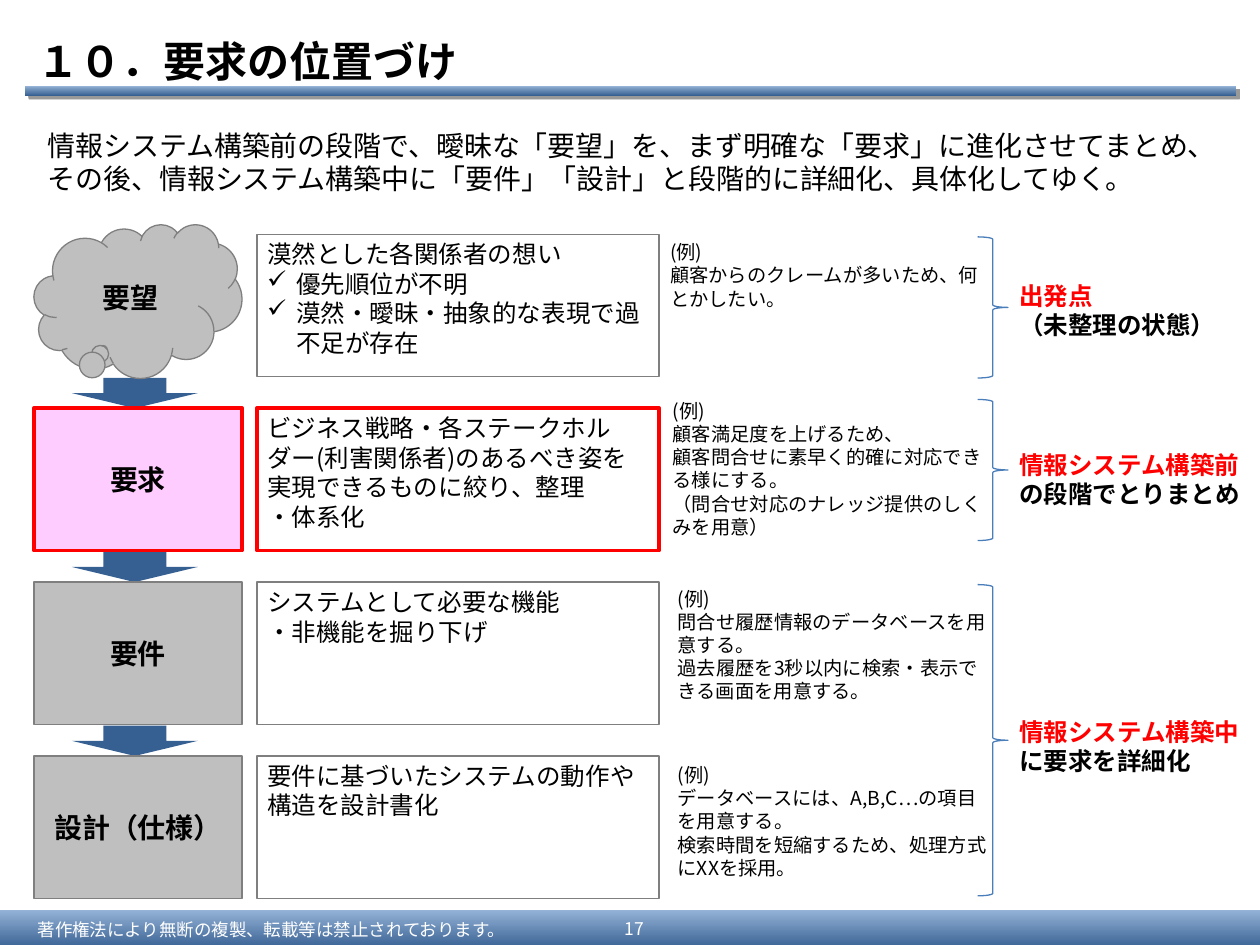
import pptx
import pptx.util
import pptx.dml.color
import pptx.enum.shapes
import pptx.enum.text
import pptx.oxml
import pptx.oxml.ns

Inches = pptx.util.Inches
Pt = pptx.util.Pt
RGBColor = pptx.dml.color.RGBColor
SHAPE = pptx.enum.shapes.MSO_SHAPE
ALIGN = pptx.enum.text.PP_ALIGN
ANCHOR = pptx.enum.text.MSO_ANCHOR

FONT = "Noto Sans CJK JP"
BLACK = RGBColor(0x00, 0x00, 0x00)
WHITE = RGBColor(0xFF, 0xFF, 0xFF)
RED = RGBColor(0xFF, 0x00, 0x00)
PINK = RGBColor(0xFF, 0xCC, 0xFF)
GRAY = RGBColor(0xBF, 0xBF, 0xBF)
EDGE = RGBColor(0x7F, 0x7F, 0x7F)
NAVY = RGBColor(0x37, 0x60, 0x92)
SKY = RGBColor(0x95, 0xB3, 0xD7)
BLUE = RGBColor(0x4A, 0x7E, 0xBB)

TOP, PITCH, TALL = 1.86, 1.38, 1.13
CHECK = "✓"

# One entry per stage: name, lines of the description
STAGES = [
    ("要望", ["漠然とした各関係者の想い", CHECK + "優先順位が不明",
            CHECK + "漠然・曖昧・抽象的な表現で過不足が存在"]),
    ("要求", ["ビジネス戦略・各ステークホルダー(利害関係者)のあるべき姿を実現できるものに絞り、整理",
            "・体系化"]),
    ("要件", ["システムとして必要な機能", "・非機能を掘り下げ"]),
    ("設計（仕様）", ["要件に基づいたシステムの動作や構造を設計書化"]),
]
# Left, top, height, lines of each example
NOTES = [
    (5.22, 1.86, 0.65, ["顧客からのクレームが多いため、何とかしたい。"]),
    (5.24, 3.12, 1.39, ["顧客満足度を上げるため、",
                        "顧客問合せに素早く的確に対応できる様にする。",
                        "（問合せ対応のナレッジ提供のしくみを用意）"]),
    (5.28, 4.61, 1.02, ["問合せ履歴情報のデータベースを用意する。",
                        "過去履歴を3秒以内に検索・表示できる画面を用意する。"]),
    (5.28, 6.01, 1.02, ["データベースには、A,B,C…の項目を用意する。",
                        "検索時間を短縮するため、処理方式にXXを採用。"]),
]
# Brace top and height, label top and width, paragraphs made of coloured runs
PHASES = [
    (1.88, 1.12, 2.18, 1.85, [[("出発点", RED)], [("（未整理の状態）", BLACK)]]),
    (3.17, 1.12, 3.52, 1.97, [[("情報システム構築前", RED), ("の段階でとりまとめ", BLACK)]]),
    (4.64, 2.47, 5.64, 1.97, [[("情報システム構築中", RED), ("に要求を詳細化", BLACK)]]),
]


def add_xml(host, tag, body=""):
    uri = pptx.oxml.ns.nsdecls("a")
    host.append(pptx.oxml.parse_xml(f"<a:{tag.split()[0]} {uri} {tag[len(tag.split()[0]):]}>"
                                    f"{body}</a:{tag.split()[0]}>"))


def set_font(para, size, color, bold):
    font = para.font
    font.size, font.bold, font.name = Pt(size), bold, FONT
    if color is not None:
        font.color.rgb = color
    add_xml(para._p.pPr.defRPr, f'ea typeface="{FONT}"')


def add_check(para):
    props = para._p.get_or_add_pPr()
    props.set("marL", str(Inches(0.23)))
    props.set("indent", str(Inches(-0.23)))
    add_xml(props, f'buChar char="{CHECK}"')


def write(shape, lines, size, color=BLACK, bold=False, align=ALIGN.LEFT,
          anchor=ANCHOR.TOP, pad=(0.1, 0.05), wrap=True):
    """Each line is a string or a list of (text, colour) runs."""
    frame = shape.text_frame
    frame.word_wrap, frame.vertical_anchor = wrap, anchor
    frame.margin_left = frame.margin_right = Inches(pad[0])
    frame.margin_top = frame.margin_bottom = Inches(pad[1])
    for i, line in enumerate(lines):
        para = frame.add_paragraph() if i else frame.paragraphs[0]
        para.alignment = align
        if isinstance(line, str):
            if line.startswith(CHECK):
                add_check(para)
            para.add_run().text = line.removeprefix(CHECK)
            set_font(para, size, color, bold)
        else:
            for text, tint in line:
                run = para.add_run()
                run.text = text
                run.font.color.rgb = tint
            set_font(para, size, None, bold)


def add_text(slide, x, y, w, h, lines, size, **style):
    box = slide.shapes.add_textbox(Inches(x), Inches(y), Inches(w), Inches(h))
    write(box, lines, size, **style)


def add_shape(slide, kind, x, y, w, h, fill=None, line=None, width=0.75):
    shape = slide.shapes.add_shape(kind, Inches(x), Inches(y), Inches(w), Inches(h))
    shape.shadow.inherit = False
    if fill is None:
        shape.fill.background()
    else:
        shape.fill.solid()
        shape.fill.fore_color.rgb = fill
    if line is None:
        shape.line.fill.background()
    else:
        shape.line.color.rgb = line
        shape.line.width = Pt(width)
    return shape


def add_band(slide, x, y, w, h):
    band = add_shape(slide, SHAPE.RECTANGLE, x, y, w, h)
    band.fill.gradient()
    band.fill.gradient_angle = 90
    for stop, color, place in zip(band.fill.gradient_stops, (NAVY, SKY), (0, 1)):
        stop.color.rgb, stop.position = color, place
    return band


def add_frame(slide):
    # Footer and title bar
    add_band(slide, 0, 7.22, 10, 0.31)
    bar = add_band(slide, 0.2, 0.68, 9.61, 0.08)
    effects = bar._element.spPr.find(pptx.oxml.ns.qn("a:effectLst"))
    add_xml(effects, f'outerShdw blurRad="0" dist="{Pt(3)}" dir="2700000"',
            '<a:srgbClr val="000000"><a:alpha val="40000"/></a:srgbClr>')
    foot = dict(color=WHITE, anchor=ANCHOR.MIDDLE, pad=(0.1, 0.04))
    add_text(slide, 0.2, 7.25, 4.25, 0.25,
             ["著作権法により無断の複製、転載等は禁止されております。"], 10, **foot)
    add_text(slide, 4.76, 7.23, 0.55, 0.28, ["17"], 10, align=ALIGN.CENTER, **foot)
    # Title and lead
    add_text(slide, 0.2, 0.21, 9.8, 0.54, ["１０．要求の位置づけ"], 24,
             bold=True, anchor=ANCHOR.MIDDLE)
    add_text(slide, 0.28, 0.97, 9.61, 0.64,
             ["情報システム構築前の段階で、曖昧な「要望」を、まず明確な「要求」に進化させてまとめ、"
              "その後、情報システム構築中に「要件」「設計」と段階的に詳細化、具体化してゆく。"], 16)


def add_stage(slide, row, name, lines):
    y = TOP + row * PITCH
    key = row == 1
    edge = dict(line=RED, width=2.25) if key else dict(line=EDGE)
    # Arrow from the stage above
    if row:
        add_shape(slide, SHAPE.DOWN_ARROW, 0.57, y - 0.24, 1, 0.24, NAVY)
    # Stage name: a cloud first, then boxes
    if row:
        head = add_shape(slide, SHAPE.RECTANGLE, 0.27, y, 1.65, TALL,
                         PINK if key else GRAY, **edge)
    else:
        head = add_shape(slide, SHAPE.CLOUD_CALLOUT, 0.27, 1.78, 1.65, 1.22, GRAY, **edge)
        head.adjustments[0], head.adjustments[1] = -0.168, 0.317
    write(head, [name], 16, bold=True, align=ALIGN.CENTER,
          anchor=ANCHOR.MIDDLE, pad=(0.08, 0), wrap=False)
    # Description
    body = add_shape(slide, SHAPE.RECTANGLE, 2.04, y, 3.19, TALL, WHITE, **edge)
    write(body, lines, 14, pad=(0.08, 0.04))


def add_phase(slide, y, h, top, w, lines):
    add_shape(slide, SHAPE.RIGHT_BRACE, 7.76, y, 0.24, h, line=BLUE)
    add_text(slide, 7.99, top, w, 0.57, lines, 14, bold=True)


def main():
    deck = pptx.Presentation()
    deck.slide_width, deck.slide_height = Inches(10), Inches(7.5)
    slide = deck.slides.add_slide(deck.slide_layouts[6])
    add_frame(slide)
    # Stages from the last up, so that each one covers the arrow below it
    for row, (name, lines) in reversed(list(enumerate(STAGES))):
        add_stage(slide, row, name, lines)
    for x, y, h, lines in NOTES:
        add_text(slide, x, y, 2.71, h, ["(例)"] + lines, 11)
    for phase in PHASES:
        add_phase(slide, *phase)
    deck.save("out.pptx")


if __name__ == "__main__":
    main()
